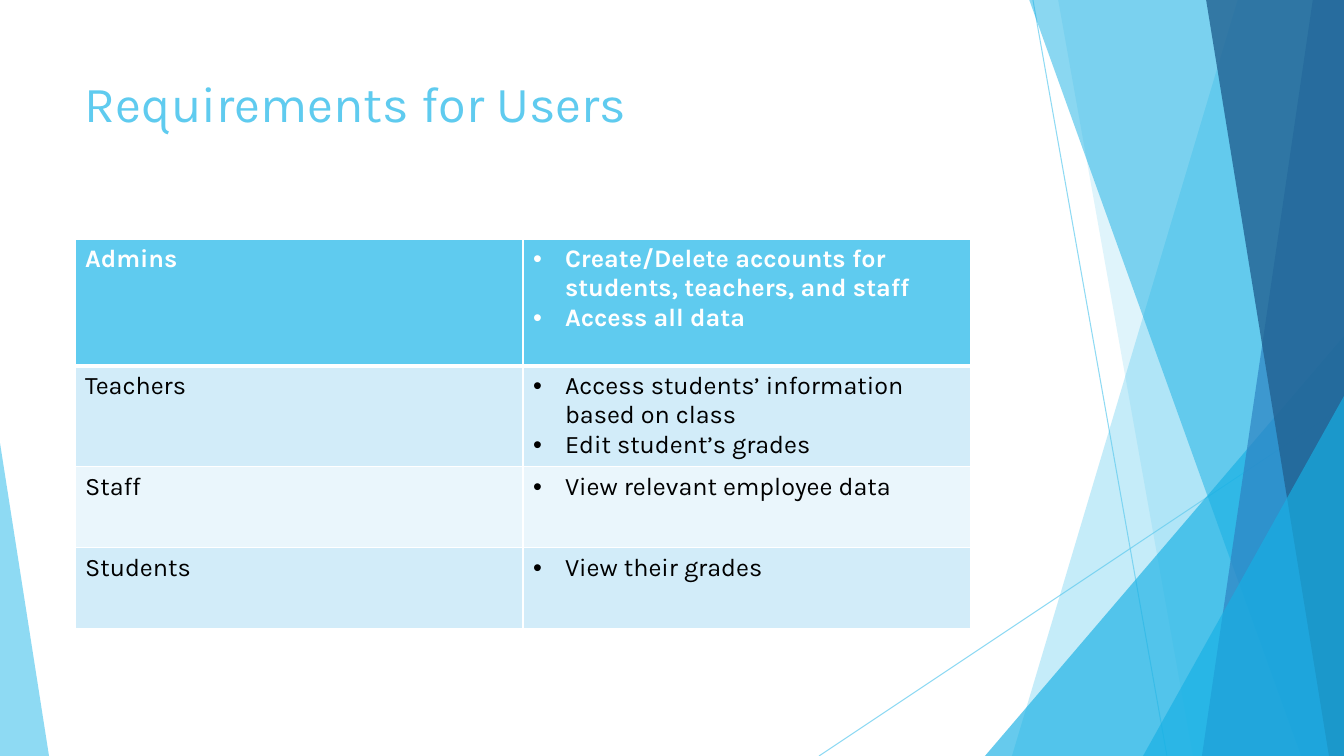
from lxml import etree
from pptx import Presentation
from pptx.dml.color import RGBColor
from pptx.enum.shapes import MSO_CONNECTOR, MSO_SHAPE
from pptx.enum.text import MSO_ANCHOR
from pptx.oxml.ns import qn
from pptx.util import Emu, Pt

STRAIGHT = MSO_CONNECTOR.STRAIGHT
TRIANGLE = MSO_SHAPE.ISOSCELES_TRIANGLE
TOP = MSO_ANCHOR.TOP

SCALE = 914400 / 100.8
WIDTH, HEIGHT = 1344, 756
THEME = {
    "font": "Karla", "title_size": 36, "body_size": 18,
    "sky": "5FCBEF", "cyan": "17B0E4", "blue": "2E83C3", "navy": "226292",
    "pale": "D2ECF9", "paler": "EAF6FC", "white": "FFFFFF", "black": "000000",
}


def px(length):
    return Emu(round(length * SCALE))


def paint(fill, colour, holder=None, opacity=100):
    fill.solid()
    fill.fore_color.rgb = RGBColor.from_string(THEME[colour])
    if holder is not None:
        for tint in holder.iter(qn("a:srgbClr")):
            etree.SubElement(tint, qn("a:alpha"), val=str(opacity * 1000))


deck = Presentation()
deck.slide_width, deck.slide_height = px(WIDTH), px(HEIGHT)
slide = deck.slides.add_slide(deck.slide_layouts[6])
shapes = slide.shapes

for x1, y1, x2, y2 in [(1033, 0, 1167, HEIGHT), (WIDTH, 406, 819, HEIGHT)]:
    ray = shapes.add_connector(STRAIGHT, px(x1), px(y1), px(x2), px(y2))
    ray.line.width = Pt(0.75)
    paint(ray.line.fill, "sky", ray._element.spPr, 70)
    etree.SubElement(ray._element.spPr, qn("a:effectLst"))

facets = [
    ("band", (1238, 1012), "sky", 36),
    ("band", (1058, 1193), "sky", 20),
    ("triangle", (985, 336, 359, 420, 1), "cyan", 66),
    ("band", (1029, 1301), "cyan", 50),
    ("band", (1313, 1202), "blue", 70),
    ("band", (1206, 1329), "navy", 80),
    ("triangle", (1143, 396, 201, 360, 1), "cyan", 66),
    ("triangle", (0, 443, 49, 313, 0), "sky", 70),
]
for kind, geometry, colour, opacity in facets:
    if kind == "band":
        top_x, bottom_x = geometry
        outline = shapes.build_freeform(px(top_x), px(-1))
        corners = [(WIDTH, -1), (WIDTH, HEIGHT), (bottom_x, HEIGHT)]
        outline.add_line_segments([(px(x), px(y)) for x, y in corners], close=True)
        facet = outline.convert_to_shape()
    else:
        *box, apex = geometry
        facet = shapes.add_shape(TRIANGLE, *map(px, box))
        facet.adjustments[0] = apex
    paint(facet.fill, colour, facet._element.spPr, opacity)
    facet.line.fill.background()
    facet.shadow.inherit = False

title = shapes.add_textbox(px(75), px(67), px(948), px(145)).text_frame
title.word_wrap = True
title.vertical_anchor = TOP
title.text = "Requirements for Users"
title_font = title.paragraphs[0].runs[0].font
title_font.name = THEME["font"]
title_font.size = Pt(THEME["title_size"])
title_font.color.rgb = RGBColor.from_string(THEME["sky"])

requirements = [
    ("Admins", ["Create/Delete accounts for students, teachers, and staff",
                "Access all data"], 127, "sky"),
    ("Teachers", ["Access students’ information based on class",
                  "Edit student’s grades"], 99, "pale"),
    ("Staff", ["View relevant employee data"], 81, "paler"),
    ("Students", ["View their grades"], 81, "pale"),
]
table_height = sum(height for _, _, height, _ in requirements)
table = shapes.add_table(len(requirements), 2, px(75), px(239), px(896), px(table_height)).table

for row, (role, duties, height, colour) in enumerate(requirements):
    table.rows[row].height = px(height)
    is_header = row == 0
    for column, lines in enumerate([[role], duties]):
        cell = table.cell(row, column)
        cell.text_frame.text = "\n".join(lines)
        for paragraph in cell.text_frame.paragraphs:
            if column == 1:
                properties = paragraph._p.get_or_add_pPr()
                properties.set("marL", str(px(32)))
                properties.set("indent", str(px(-32)))
                etree.SubElement(properties, qn("a:buFont"), typeface="Arial")
                etree.SubElement(properties, qn("a:buChar"), char="•")
            font = paragraph.runs[0].font
            font.name = THEME["font"]
            font.size = Pt(THEME["body_size"])
            font.bold = is_header
            font.color.rgb = RGBColor.from_string(THEME["white" if is_header else "black"])
        paint(cell.fill, colour)
        thick_side = {0: "lnB", 1: "lnT"}.get(row)
        cell_properties = cell._tc.get_or_add_tcPr()
        for position, side in enumerate(["lnL", "lnR", "lnT", "lnB"]):
            border = etree.Element(qn(f"a:{side}"), w=str(Pt(3 if side == thick_side else 1)))
            border_fill = etree.SubElement(border, qn("a:solidFill"))
            etree.SubElement(border_fill, qn("a:srgbClr"), val=THEME["white"])
            cell_properties.insert(position, border)

deck.save("out.pptx")
